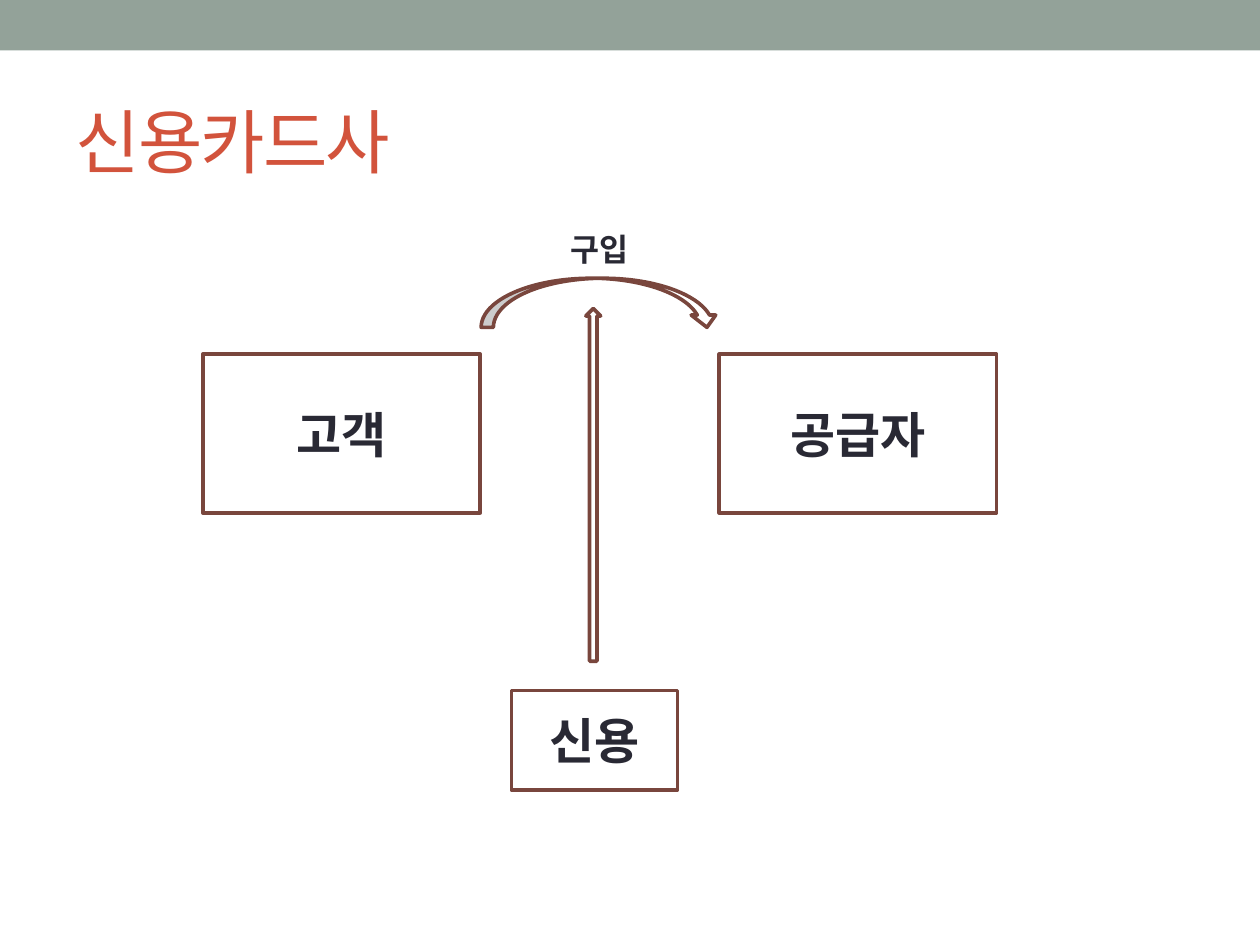
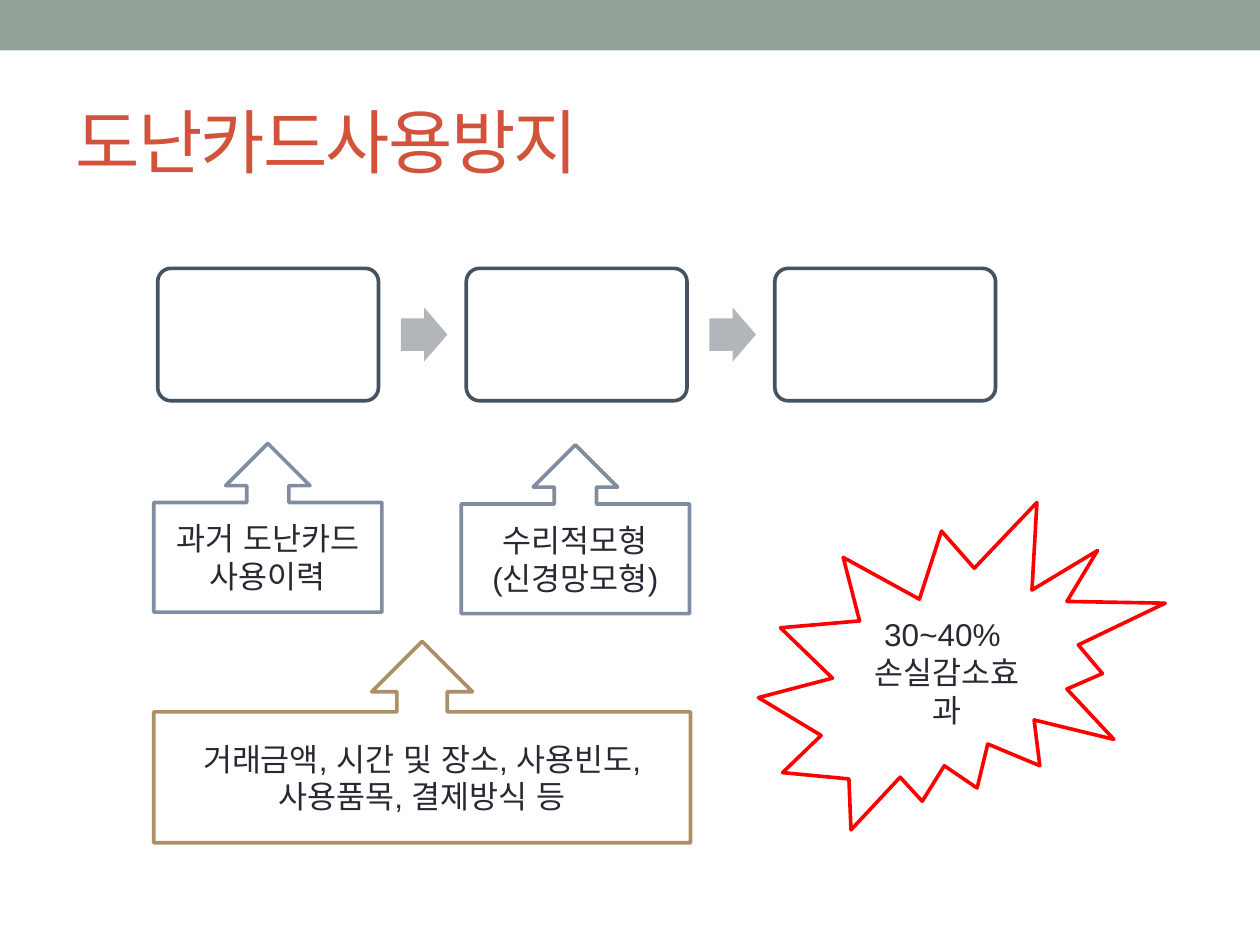
"""Builds two slides on credit card companies and stolen card prevention."""
import pptx
import pptx.dml.color
import pptx.enum.lang
import pptx.enum.shapes
import pptx.enum.text
import pptx.oxml.ns
import pptx.util
from lxml import etree

Cm = pptx.util.Cm
Pt = pptx.util.Pt
SHAPE = pptx.enum.shapes.MSO_SHAPE
ALIGN = pptx.enum.text.PP_ALIGN
qn = pptx.oxml.ns.qn

FONT = "Arial"
COLORS = {
    "band": "93A299",
    "title": "D2533C",
    "text": "292934",
    "white": "FFFFFF",
    "brown": "79463D",
    "slate": "455260",
    "step_arrow": "B2B5B9",
    "blue_gray": "808DA0",
    "tan": "AD8F67",
    "red": "FF0000",
}


def add_figure(slide, kind, box, fill="white", line=None):
    shape = slide.shapes.add_shape(kind, *[Cm(length) for length in box])
    shape.shadow.inherit = False
    shape.fill.solid()
    shape.fill.fore_color.rgb = pptx.dml.color.RGBColor.from_string(COLORS[fill])
    if line:
        shape.line.color.rgb = pptx.dml.color.RGBColor.from_string(COLORS[line])
        shape.line.width = Pt(2.08)
        etree.SubElement(shape.element.spPr.find(qn("a:ln")), qn("a:round"))
    else:
        shape.line.fill.background()
    return shape


def write_text(shape, lines, size, bold=False, color="text", align=ALIGN.CENTER):
    frame = shape.text_frame
    frame.word_wrap = True
    frame.vertical_anchor = pptx.enum.text.MSO_ANCHOR.MIDDLE
    for index, line in enumerate(lines):
        paragraph = frame.add_paragraph() if index else frame.paragraphs[0]
        paragraph.alignment = align
        run = paragraph.add_run()
        run.text = line
        run.font.name = FONT
        run.font.size = Pt(size)
        run.font.bold = bold
        run.font.language_id = pptx.enum.lang.MSO_LANGUAGE_ID.KOREAN
        run.font.color.rgb = pptx.dml.color.RGBColor.from_string(COLORS[color])


presentation = pptx.Presentation()
presentation.slide_width = Cm(25.4)
presentation.slide_height = Cm(19.05)
layout = presentation.slide_layouts[5]

slides = []
for title_text in ["신용카드사", "도난카드사용방지"]:
    slide = presentation.slides.add_slide(layout)
    title = slide.shapes.title
    title.left, title.top = Cm(1.27), Cm(1.47)
    title.width, title.height = Cm(22.86), Cm(2.74)
    write_text(title, [title_text], 40, color="title", align=ALIGN.LEFT)
    title.text_frame.paragraphs[0].runs[0].font._element.set("spc", "-100")
    slides.append(slide)
card_slide, theft_slide = slides

band = add_figure(card_slide, SHAPE.RECTANGLE, (0, 0, 25.4, 1.02), "band")
band.element.nvSpPr.cNvPr.set("id", "20")
layout.shapes.element.insert(2, band.element)

for party, box in [
    ("고객", (4.09, 7.14, 5.59, 3.2)),
    ("공급자", (14.5, 7.14, 5.59, 3.2)),
    ("신용", (10.31, 13.92, 3.35, 2.01)),
]:
    party_box = add_figure(card_slide, SHAPE.RECTANGLE, box, line="brown")
    write_text(party_box, [party], 28, bold=True)

add_figure(card_slide, SHAPE.CURVED_DOWN_ARROW, (9.7, 5.61, 4.8, 0.99), line="brown")
add_figure(card_slide, SHAPE.UP_ARROW, (11.81, 6.22, 0.3, 7.11), line="brown")
purchase_label = card_slide.shapes.add_textbox(Cm(10.69), Cm(4.52), Cm(2.79), Cm(0.99))
write_text(purchase_label, ["구입"], 18, bold=True)

STEP_COUNT = 3
STEP_PITCH = 6.22
for step in range(STEP_COUNT):
    offset = step * STEP_PITCH
    step_box = add_figure(
        theft_slide, SHAPE.ROUNDED_RECTANGLE, (3.18 + offset, 5.41, 4.45, 2.67), line="slate"
    )
    step_box.adjustments[0] = 0.1
    if step < STEP_COUNT - 1:
        step_arrow = add_figure(
            theft_slide, SHAPE.RIGHT_ARROW, (8.08 + offset, 6.2, 0.94, 1.09), "step_arrow"
        )
        step_arrow.adjustments[0] = 0.6
        step_arrow.adjustments[1] = 0.5

for kind, box, line, lines in [
    (SHAPE.UP_ARROW_CALLOUT, (3.1, 8.94, 4.6, 3.4), "blue_gray", ["과거 도난카드", "사용이력"]),
    (SHAPE.UP_ARROW_CALLOUT, (9.3, 8.97, 4.6, 3.4), "blue_gray", ["수리적모형", "(신경망모형)"]),
    (SHAPE.EXPLOSION2, (15.29, 10.13, 8.2, 6.6), "red", ["30~40% ", "손실감소효과"]),
    (
        SHAPE.UP_ARROW_CALLOUT,
        (3.1, 12.93, 10.82, 4.06),
        "tan",
        ["거래금액, 시간 및 장소, 사용빈도, 사용품목, 결제방식 등"],
    ),
]:
    note = add_figure(theft_slide, kind, box, line=line)
    write_text(note, lines, 18)

presentation.save("out.pptx")
